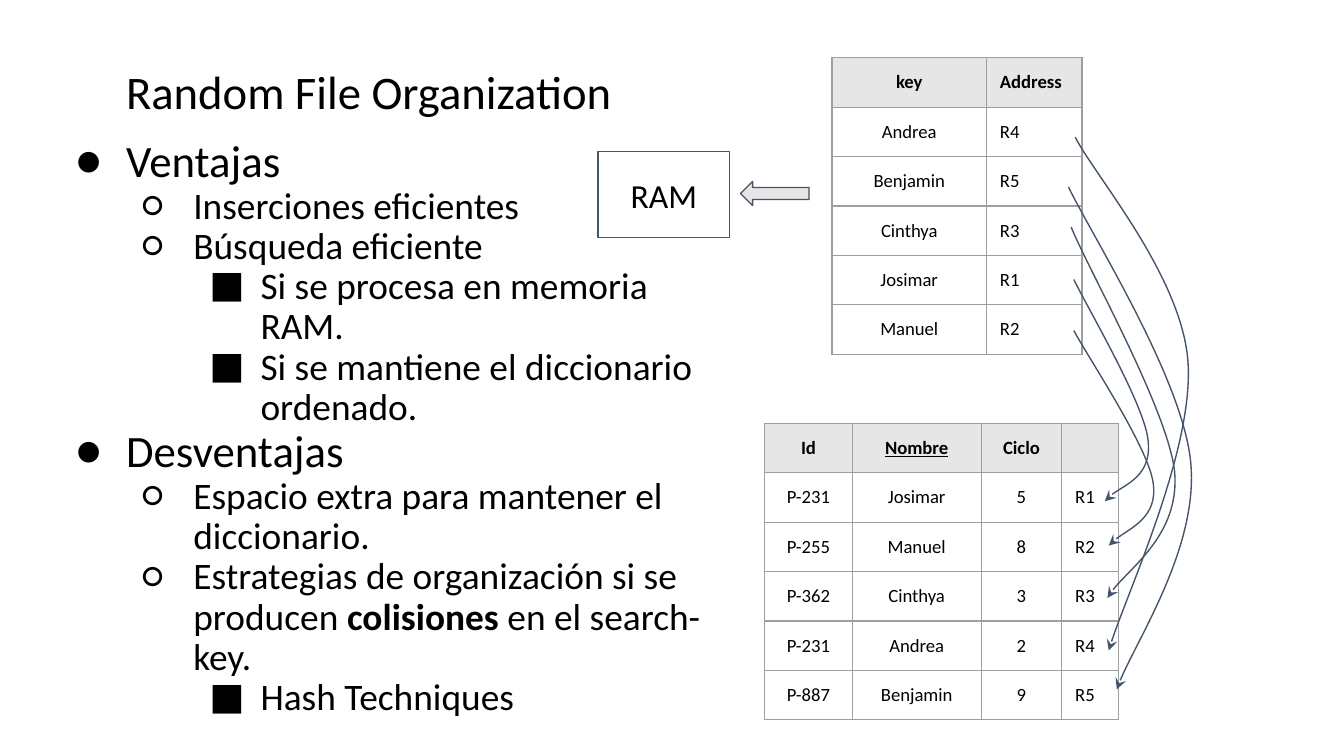
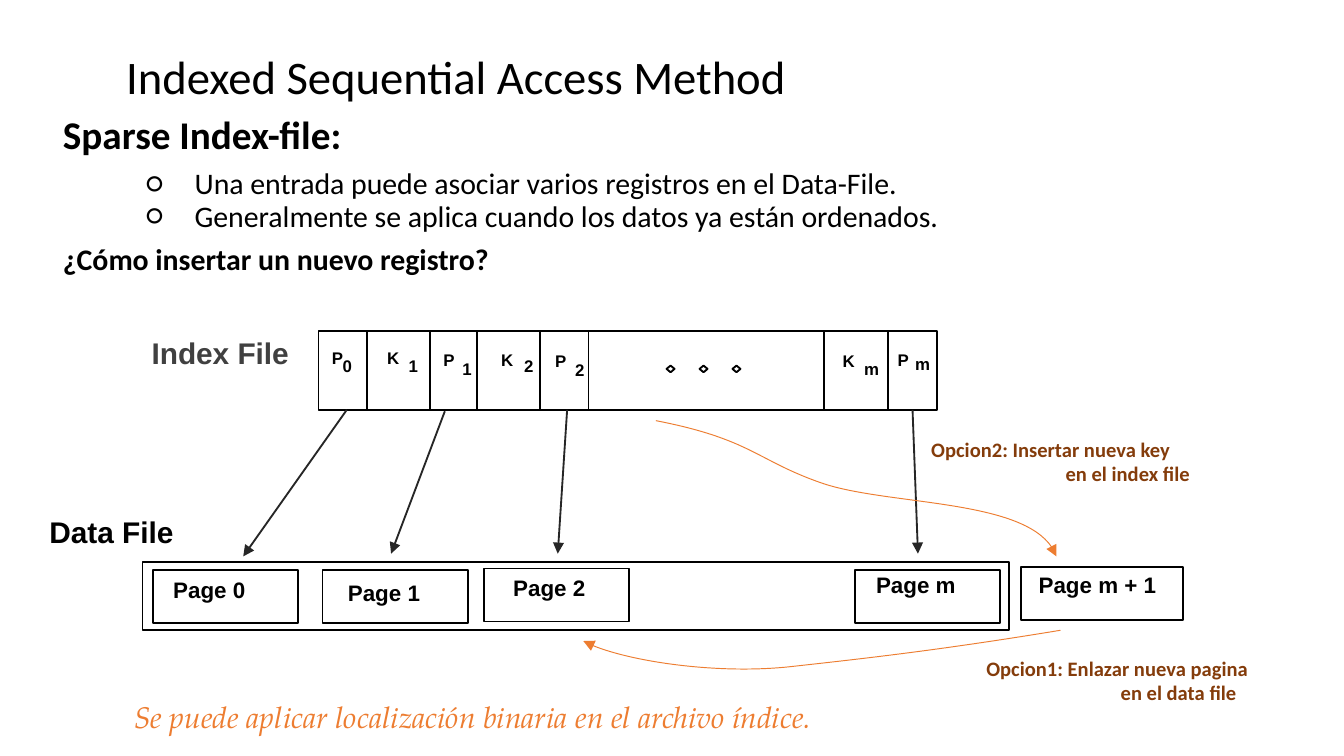
from pptx import Presentation
from pptx import util as u
from pptx.dml.color import RGBColor
from pptx.enum import shapes, text
from pptx.oxml import parse_xml
from pptx.oxml.ns import nsdecls, qn

C = {"black": "000000", "slate": "44546A", "pale": "E7E6E6", "rule": "9E9E9E",
     "orange": "ED7D31", "brown": "843C0B", "grey": "404040", "arrow": "262626"}
KIND = shapes.MSO_SHAPE
ALIGN = text.PP_ALIGN

prs = Presentation()
prs.slide_width = u.Inches(10)
prs.slide_height = prs.slide_width * 9 // 16
G = prs.slide_width / 100  # square grid: 100 columns, 56.25 rows


def ink(sp, colour, width, tail=None):
    """Line colour, width and arrowhead, without a shadow."""
    sp.line.color.rgb = RGBColor.from_string(C[colour])
    sp.line.width = u.Pt(width)
    spPr = sp._element.spPr
    if tail:
        spPr.find(qn("a:ln")).append(parse_xml(f'<a:tailEnd {nsdecls("a")} type="{tail}"/>'))
    spPr.append(parse_xml(f'<a:effectLst {nsdecls("a")}/>'))


def style(tf, size, font="Calibri", colour="black", bold=False, align=None):
    """One look for every run of a text frame."""
    for p in tf.paragraphs:
        p.alignment = align
        for r in p.runs:
            r.font.size, r.font.name, r.font.bold = u.Pt(size), font, bold
            r.font.color.rgb = RGBColor.from_string(C[colour])


# Titles and bodies; a line is (level, size, space before, text), *bold* marked by stars
BULLETS = {1: "●", 2: "○", 3: "■"}
pages = [
    ("Random File Organization", 1.6, (3.4, 9.3, 51.9, 45.3), ALIGN.LEFT, 5, 3.8, [
        (1, 24, 0, "Ventajas"),
        (2, 20, 0, "Inserciones eficientes"),
        (2, 20, 0, "Búsqueda eficiente"),
        (3, 20, 0, "Si se procesa en memoria RAM."),
        (3, 20, 0, "Si se mantiene el diccionario ordenado."),
        (1, 24, 0, "Desventajas"),
        (2, 20, 0, "Espacio extra para mantener el diccionario."),
        (2, 20, 0, "Estrategias de organización si se producen *colisiones* en el search-key."),
        (3, 20, 0, "Hash Techniques")]),
    ("Indexed Sequential Access Method", 0.5, (3.7, 7.6, 93.2, 15.7), ALIGN.JUSTIFY, 4.9, 3.6, [
        (0, 21, 6, "*Sparse Index-file:*"),
        (2, 16, 6, "Una entrada puede asociar varios registros en el Data-File."),
        (2, 16, 0, "Generalmente se aplica cuando los datos ya están ordenados."),
        (0, 16, 6, "*¿Cómo insertar un nuevo registro?*")]),
]
for title, top, box, align, indent, hang, lines in pages:
    s = prs.slides.add_slide(prs.slide_layouts[6])
    frames = []
    for place in ((3.4, top, 93.2, 7.7), box):
        tf = s.shapes.add_textbox(*[int(n * G) for n in place]).text_frame
        tf.word_wrap = True
        tf.margin_left = tf.margin_right = tf.margin_top = tf.margin_bottom = int(G)
        frames.append(tf)
    head, body = frames
    head.text = title
    head.paragraphs[0].line_spacing = 1.5
    head.paragraphs[0]._p.get_or_add_pPr().set("marL", str(int(5 * G)))
    style(head, 25)

    body.text = "\n".join(line[3] for line in lines)
    style(body, 20, align=align)
    for p, (level, size, before, words) in zip(body.paragraphs, lines):
        parts = words.split("*")
        p.text = parts[0]
        for part in parts[1:]:
            p.add_run().text = part
        for i, r in enumerate(p.runs):
            r.font.size, r.font.name = u.Pt(size), "Calibri"
            r.font.bold = len(parts) > 1 and i == len(p.runs) - 2
            r.font.color.rgb = RGBColor.from_string(C["black"])
        for r in p.runs:
            if not r.text:
                p._p.remove(r._r)
        p.line_spacing, p.space_before = 0.9, u.Pt(before)
        if level:
            p.level = level - 1
            pPr = p._p.get_or_add_pPr()
            pPr.set("marL", str(int(level * indent * G)))
            pPr.set("indent", str(int(-hang * G)))
            pPr.append(parse_xml(f'<a:buFont {nsdecls("a")} typeface="Calibri"/>'))
            pPr.append(parse_xml(f'<a:buChar {nsdecls("a")} char="{BULLETS[level]}"/>'))
random_file, isam = prs.slides

# Slide 1: data file and dictionary tables; the last column is left aligned
tables = [
    (56.9, 31.5, (6.5, 9.6, 6, 4.2), [
        ("Id", "Nombre", "Ciclo", ""),
        ("P-231", "Josimar", "5", "R1"), ("P-255", "Manuel", "8", "R2"),
        ("P-362", "Cinthya", "3", "R3"), ("P-231", "Andrea", "2", "R4"),
        ("P-887", "Benjamin", "9", "R5")]),
    (61.9, 4.3, (11.5, 7.1), [
        ("key", "Address"), ("Andrea", "R4"), ("Benjamin", "R5"),
        ("Cinthya", "R3"), ("Josimar", "R1"), ("Manuel", "R2")]),
]
for left, top, widths, rows in tables:
    place = (left, top, sum(widths), 3.68 * len(rows))
    table = random_file.shapes.add_table(len(rows), len(widths), *[int(n * G) for n in place]).table
    table.horz_banding = False
    for column, width in zip(table.columns, widths):
        column.width = int(width * G)
    for i, row in enumerate(rows):
        for j, word in enumerate(row):
            cell = table.cell(i, j)
            cell.text = word
            cell.margin_left = cell.margin_right = int(G)
            cell.margin_top = cell.margin_bottom = int(G) if word else 0
            style(cell.text_frame, 10, bold=i == 0,
                  align=ALIGN.LEFT if j == len(row) - 1 else ALIGN.CENTER)
            for r in cell.text_frame.paragraphs[0].runs:
                r.font.underline = word == "Nombre"
            for side in "LRTB":
                cell._tc.get_or_add_tcPr().append(parse_xml(
                    f'<a:ln{side} {nsdecls("a")} w="9525"><a:solidFill>'
                    f'<a:srgbClr val="{C["rule"]}"/></a:solidFill></a:ln{side}>'))
            if i == 0:
                cell.fill.solid()
                cell.fill.fore_color.rgb = RGBColor.from_string(C["pale"])
            else:
                cell.fill.background()

# Slide 1: memory box and arrow
ram = random_file.shapes.add_shape(KIND.RECTANGLE, *[int(n * G) for n in (44.5, 11.3, 9.8, 6.4)])
ram.fill.background()
ink(ram, "slate", 0.75)
ram.text_frame.text = "RAM"
ram.text_frame.vertical_anchor = text.MSO_ANCHOR.MIDDLE
style(ram.text_frame, 18, align=ALIGN.CENTER)
load = random_file.shapes.add_shape(KIND.LEFT_ARROW, *[int(n * G) for n in (55.1, 13.5, 5.1, 1.8)])
load.fill.solid()
load.fill.fore_color.rgb = RGBColor.from_string(C["pale"])
ink(load, "slate", 0.75)

# Slide 2: pages, data file, index cells and the dots between them
INDEX_TOP, INDEX_H, PAGE_H = 24.6, 5.9, 3.95
outlines = [(KIND.RECTANGLE, (x, y, w, PAGE_H)) for x, y, w in (
    (11.4, 42.4, 10.8), (24, 42.4, 10.8), (36, 42.3, 10.8), (63.6, 42.4, 10.8), (76, 42.2, 12))]
outlines.append((KIND.RECTANGLE, (10.6, 41.8, 64.5, 5.05)))
outlines += [(KIND.RECTANGLE, (x, INDEX_TOP, w, INDEX_H)) for x, w in (
    (23.7, 46), (27.3, 4.7), (35.5, 4.7), (40.2, 3.6), (61.3, 4.8))]
outlines += [(KIND.DIAMOND, (49.6 + 2.45 * i, 27.2, 0.6, 0.5)) for i in range(3)]
for kind, box in outlines:
    sp = isam.shapes.add_shape(kind, *[int(n * G) for n in box])
    sp.fill.background()
    ink(sp, "black", 1)

# Slide 2: labels as (text, box, size, font, colour, bold, wrap)
labels = [(words, (x, y, w, 3), 12, "Arial", "black", True, True) for words, x, y, w in (
    ("Page 0", 11.9, 42.4, 7.8), ("Page 1", 24.9, 42.6, 7.8), ("Page 2", 37.2, 42.2, 8.9),
    ("Page m", 64.2, 42, 8.1), ("Page m + 1", 76.3, 42, 12.4))]
labels += [
    ("Se puede aplicar localización binaria en el archivo índice.", (9, 51.5, 69.3, 3.7),
     16, "TeX Gyre Pagella", "orange", False, True),
    ("Data File", (2.7, 37.7, 14.3, 3.7), 16, "Arial", "black", True, True),
    ("Index File", (10.3, 24.4, 12.4, 3.7), 16, "Arial", "grey", True, False),
    ("Opcion2: Insertar nueva key\n\ten el index file", (68.3, 32, 21.5, 4.7),
     11, "Calibri", "brown", True, False),
    ("Opcion1: Enlazar nueva pagina\n\ten el data file", (72.4, 48.3, 21.7, 4.7),
     11, "Calibri", "brown", True, False)]
WIDTHS = {"P": 2.4, "K": 2.4, "m": 2.6}
labels += [(sign, (x, y, WIDTHS.get(sign, 2.2), 2.3), 9, "Arial", "black", True, False)
           for sign, x, y in (
    ("P", 23.9, 25.5), ("0", 24.7, 26.1), ("K", 28, 25.5), ("1", 29.6, 26.1),
    ("P", 32.2, 25.6), ("1", 33.6, 26.3), ("K", 36.5, 25.6), ("2", 38.2, 26.1),
    ("P", 40.5, 25.7), ("2", 42, 26.4), ("K", 61.9, 25.7), ("m", 63.5, 26.3),
    ("P", 66, 25.6), ("m", 67.3, 25.9))]
for words, box, size, font, colour, bold, wrap in labels:
    tf = isam.shapes.add_textbox(*[int(n * G) for n in box]).text_frame
    tf.text = words
    tf.word_wrap = wrap
    tf.auto_size = text.MSO_AUTO_SIZE.SHAPE_TO_FIT_TEXT
    if size == 9:
        tf.margin_left = tf.margin_right = int(0.8 * G)
        tf.margin_top = tf.margin_bottom = int(0.4 * G)
    style(tf, size, font, colour, bold)
    for r in tf.paragraphs[0].runs:
        r.font.italic = colour == "orange"
    for p in tf.paragraphs[1:]:
        p._p.get_or_add_pPr().append(parse_xml(
            f'<a:tabLst {nsdecls("a")}><a:tab pos="{int(10 * G)}" algn="l"/></a:tabLst>'))

# Slide 2: pointers from the index to the pages
for ends in ((25.8, 30.5, 18.1, 41.4), (33.1, 30.6, 29.1, 41.2),
             (42.2, 30.5, 41.5, 41.2), (67.9, 30.5, 68.3, 41.2)):
    pointer = isam.shapes.add_connector(shapes.MSO_CONNECTOR.STRAIGHT, *[int(n * G) for n in ends])
    ink(pointer, "arrow", 1, "triangle")

# Curved arrows on both slides: a start, then two Bézier segments of three points
addresses = [
    [(79.9, 20.8), (80.8, 22.7), (85, 29.8), (85.4, 32.6), (85.8, 35.4), (82.7, 36.5), (82.2, 37.3)],
    [(79.9, 24.6), (80.9, 26.5), (85.4, 33.2), (85.8, 35.9), (86.2, 38.5), (83.1, 39.8), (82.5, 40.6)],
    [(79.7, 16.9), (80.9, 19.9), (86.9, 30.5), (87.4, 35.1), (87.8, 39.7), (83.2, 42.9), (82.4, 44.5)],
    [(79.5, 13.9), (81.1, 17.3), (88, 28.1), (88.6, 34.4), (89.2, 40.6), (84, 48.5), (83.1, 51.3)],
    [(80, 10.2), (81.4, 13), (88, 20.6), (88.4, 27), (88.8, 33.4), (83.5, 44.9), (82.5, 48.4)]]
options = [
    [(78.9, 46.9), (69.8, 48.4), (64.3, 49), (58.9, 49.6), (53.5, 50.2), (45.9, 49.1), (43.4, 47.7)],
    [(48.8, 31.3), (56, 32.7), (56.3, 34.3), (61.3, 36), (66.2, 37.6), (77.1, 37.1), (78.6, 41.4)]]
for s, curves, look in ((random_file, addresses, ("slate", 0.75, "stealth")),
                        (isam, options, ("orange", 0.5, "triangle"))):
    for curve in curves:
        start, *rest = [(int(x * G), int(y * G)) for x, y in curve]
        builder = s.shapes.build_freeform(*start, scale=1.0)
        builder.add_line_segments(rest, close=False)
        sp = builder.convert_to_shape()
        sp.fill.background()
        ink(sp, *look)
        outline = sp._element.find(".//" + qn("a:path"))
        steps = outline.findall(qn("a:lnTo"))
        for i in range(0, len(steps), 3):
            bend = parse_xml(f'<a:cubicBezTo {nsdecls("a")}/>')
            outline.append(bend)
            for step in steps[i:i + 3]:
                bend.append(step[0])
                outline.remove(step)

prs.save("out.pptx")
